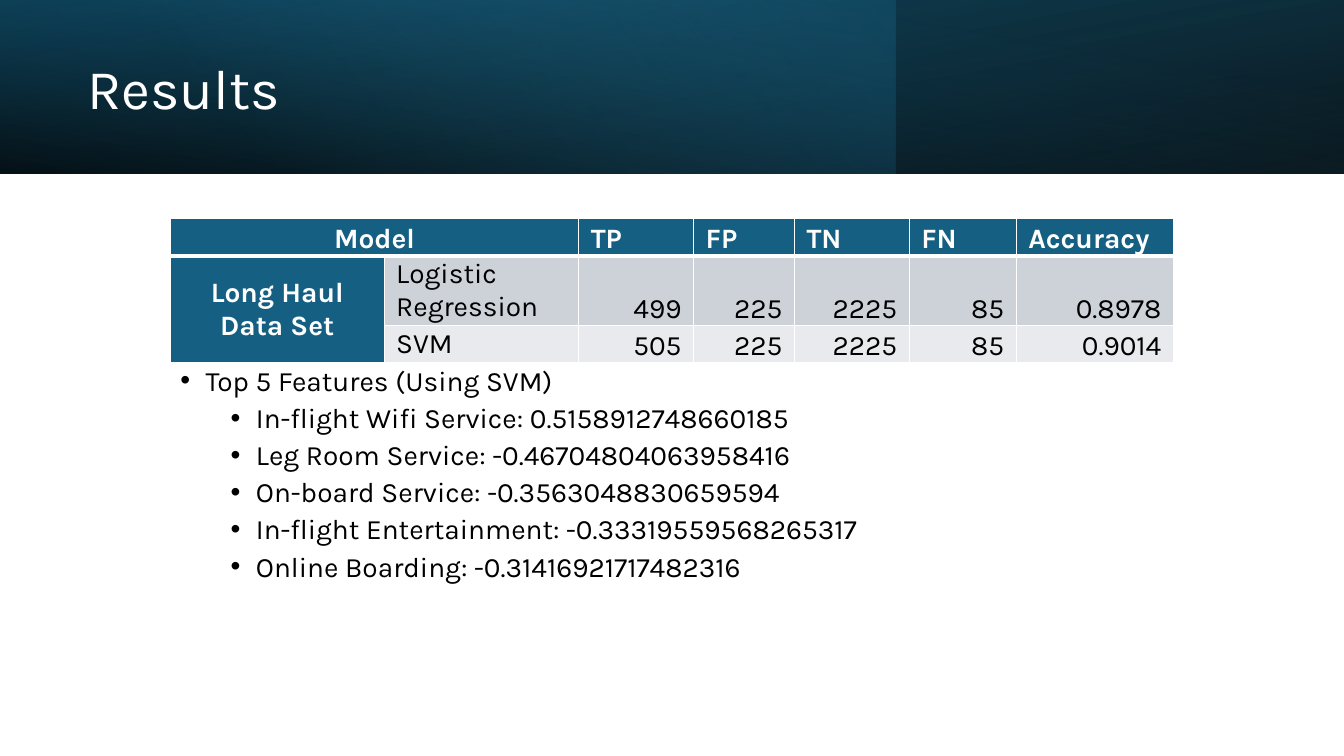
from lxml import etree
from pptx import Presentation, util as u
from pptx.dml.color import RGBColor
from pptx.enum import shapes, text
from pptx.oxml import parse_xml
from pptx.oxml.ns import nsdecls, qn

WHITE = RGBColor(0xFF, 0xFF, 0xFF)
BLACK = RGBColor(0, 0, 0)
NAVY = RGBColor(0x10, 0x48, 0x62)
TEAL = RGBColor(0x15, 0x60, 0x82)
SKY = RGBColor(0x46, 0xB1, 0xE1)
GREY = RGBColor(0xCC, 0xD2, 0xD8)
PALE = RGBColor(0xE8, 0xEA, 0xED)

FONT = "Karla"
WIDTH, HEIGHT = 13.33, 7.5
BAND_HEIGHT = 1.72
LEFT = 1.69
TABLE_TOP, LIST_TOP = 2.17, 3.59

BANDS = [
    {"share": 1, "angle": 100, "rotation": 180, "flip": True,
     "stops": [(0, BLACK, 96), (100, NAVY, 100)]},
    {"share": 2 / 3, "angle": 140, "rotation": 0, "flip": False,
     "stops": [(0, TEAL, 41), (74, SKY, 0)]},
    {"share": 1, "angle": 260, "rotation": 0, "flip": True,
     "stops": [(0, BLACK, 63), (78, TEAL, 15)]},
]
TITLE = "Results"
COLUMNS = [2.12, 1.93, 1.14, 1, 1.14, 1.06, 1.56]
ROWS = [0.37, 0.69, 0.37]
RESULTS = [
    ["Model", "", "TP", "FP", "TN", "FN", "Accuracy"],
    ["Long Haul Data Set", "Logistic Regression", "499", "225", "2225", "85", "0.8978"],
    ["", "SVM", "505", "225", "2225", "85", "0.9014"],
]
ROW_FILLS = [TEAL, GREY, PALE]
FEATURES = [
    (0, "Top 5 Features (Using SVM)"),
    (1, "In-flight Wifi Service: 0.5158912748660185"),
    (1, "Leg Room Service: -0.46704804063958416"),
    (1, "On-board Service: -0.3563048830659594"),
    (1, "In-flight Entertainment: -0.33319559568265317"),
    (1, "Online Boarding: -0.31416921717482316"),
]


def write(p, words, size=20, color=BLACK, bold=False, align=text.PP_ALIGN.LEFT,
          line=None, before=None):
    p.alignment = align
    if line:
        p.line_spacing = line
    if before:
        p.space_before = u.Pt(before)
    r = p.add_run()
    r.text = words
    r.font.name, r.font.size, r.font.bold = FONT, u.Pt(size), bold
    r.font.color.rgb = color


def add_box(slide, left, top, width, height, anchor):
    tf = slide.shapes.add_textbox(*map(u.Inches, (left, top, width, height))).text_frame
    tf.word_wrap = True
    tf.vertical_anchor = anchor
    return tf


def add_band(slide, share, angle, rotation, flip, stops):
    sp = slide.shapes.add_shape(shapes.MSO_SHAPE.RECTANGLE, 0, 0,
                                u.Inches(WIDTH * share), u.Inches(BAND_HEIGHT))
    sp.shadow.inherit = False
    sp.line.fill.background()
    sp.rotation = rotation
    props = sp._element.spPr
    if flip:
        props.find(qn("a:xfrm")).set("flipH", "1")
    marks = "".join(
        f'<a:gs pos="{pos * 1000}"><a:srgbClr val="{color}">'
        f'<a:alpha val="{alpha * 1000}"/></a:srgbClr></a:gs>'
        for pos, color, alpha in stops)
    props.find(qn("a:prstGeom")).addnext(parse_xml(
        f'<a:gradFill {nsdecls("a")} rotWithShape="1"><a:gsLst>{marks}</a:gsLst>'
        f'<a:lin ang="{angle * 60000}" scaled="0"/></a:gradFill>'))


def set_borders(cell, row):
    widths = {"lnL": 1, "lnR": 1, "lnT": 3 if row == 1 else 1, "lnB": 3 if row == 0 else 1}
    for i, (tag, points) in enumerate(widths.items()):
        cell._tc.get_or_add_tcPr().insert(i, parse_xml(
            f'<a:{tag} {nsdecls("a")} w="{u.Pt(points)}"><a:solidFill>'
            f'<a:srgbClr val="{WHITE}"/></a:solidFill></a:{tag}>'))


def add_results(slide):
    table = slide.shapes.add_table(
        len(ROWS), len(COLUMNS), u.Inches(LEFT), u.Inches(TABLE_TOP),
        u.Inches(sum(COLUMNS)), u.Inches(sum(ROWS))).table
    table.first_row = table.horz_banding = False
    for column, width in zip(table.columns, COLUMNS):
        column.width = u.Inches(width)
    for row, height in zip(table.rows, ROWS):
        row.height = u.Inches(height)
    table.cell(0, 0).merge(table.cell(0, 1))
    table.cell(1, 0).merge(table.cell(2, 0))
    for y, values in enumerate(RESULTS):
        for x, value in enumerate(values):
            cell = table.cell(y, x)
            heading = y == 0 or x == 0
            cell.margin_left = cell.margin_right = u.Inches(0.12)
            cell.margin_top = cell.margin_bottom = 0
            cell.vertical_anchor = (text.MSO_ANCHOR.MIDDLE if y and x < 2
                                    else text.MSO_ANCHOR.BOTTOM)
            cell.fill.solid()
            cell.fill.fore_color.rgb = TEAL if heading else ROW_FILLS[y]
            set_borders(cell, y)
            if value:
                align = (text.PP_ALIGN.CENTER if x == 0
                         else text.PP_ALIGN.RIGHT if y and x > 1
                         else text.PP_ALIGN.LEFT)
                write(cell.text_frame.paragraphs[0], value, bold=heading, align=align,
                      color=WHITE if heading else BLACK)


def add_features(slide):
    tf = add_box(slide, LEFT, LIST_TOP, sum(COLUMNS), 2.44, text.MSO_ANCHOR.TOP)
    for i, (level, words) in enumerate(FEATURES):
        p = tf.add_paragraph() if i else tf.paragraphs[0]
        p.level = level
        write(p, words, line=0.9, before=5 if level else 10)
        props = p._p.get_or_add_pPr()
        props.set("marL", str(u.Inches(0.25 + 0.5 * level)))
        props.set("indent", str(u.Inches(-0.25)))
        etree.SubElement(props, qn("a:buFont")).set("typeface", "Arial")
        etree.SubElement(props, qn("a:buChar")).set("char", "•")


def main():
    prs = Presentation()
    prs.slide_width, prs.slide_height = u.Inches(WIDTH), u.Inches(HEIGHT)
    slide = prs.slides.add_slide(prs.slide_layouts[6])
    for band in BANDS:
        add_band(slide, **band)
    title = add_box(slide, 0.77, 0.27, 7.72, 1.27, text.MSO_ANCHOR.MIDDLE)
    write(title.paragraphs[0], TITLE, size=40, color=WHITE, line=0.9)
    add_results(slide)
    add_features(slide)
    prs.save("out.pptx")


if __name__ == "__main__":
    main()
